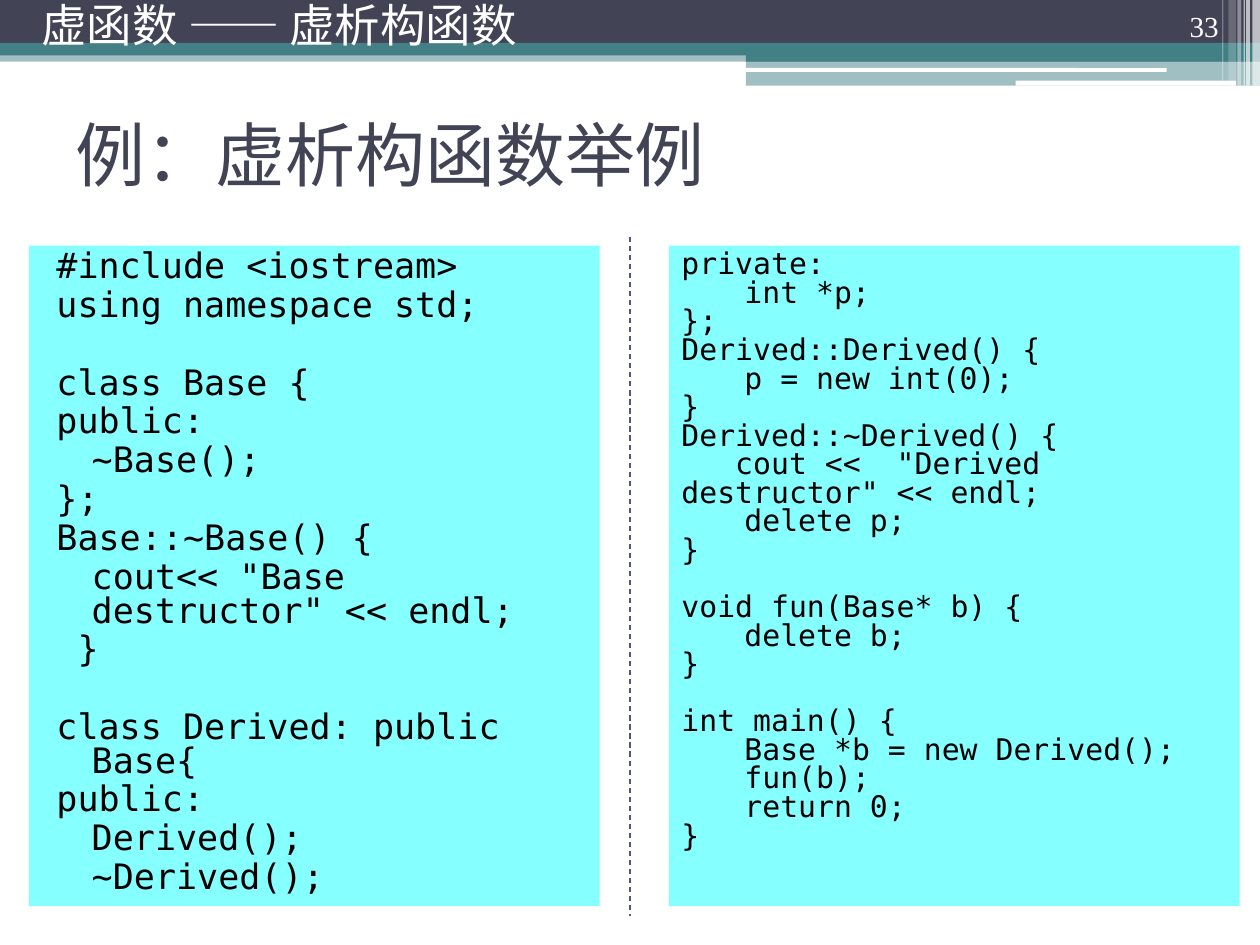
from lxml import etree
from pptx import Presentation
from pptx.dml.color import RGBColor
from pptx.enum import shapes, text
from pptx.oxml.ns import qn
from pptx.util import Inches, Pt

NAVY = RGBColor(0x42, 0x44, 0x56)
TEAL = RGBColor(0x43, 0x80, 0x86)
CYAN = RGBColor(0x85, 0xFF, 0xFF)
VIOLET = RGBColor(0x53, 0x54, 0x8A)
WHITE = RGBColor(0xFF, 0xFF, 0xFF)
BLACK = RGBColor(0, 0, 0)

BASE_CODE = """#include <iostream>
using namespace std;

class Base {
public:
\t~Base();
};
Base::~Base() {
\tcout<< "Base destructor" << endl;
 }

class Derived: public Base{
public:
\tDerived();
\t~Derived();"""

DERIVED_CODE = """private:
\tint *p;
};
Derived::Derived() {
\tp = new int(0);
}
Derived::~Derived() {
   cout <<  "Derived destructor" << endl;
\tdelete p;
}

void fun(Base* b) {
\tdelete b;
}

int main() {
\tBase *b = new Derived();
\tfun(b);
\treturn 0;
}"""

deck = Presentation()
deck.slide_width, deck.slide_height = Inches(10), Inches(7.5)
page = deck.slides.add_slide(deck.slide_layouts[5])


def add_block(left, top, width, height, color, opacity=100, kind=shapes.MSO_SHAPE.RECTANGLE):
    block = page.shapes.add_shape(kind, Inches(left), Inches(top), Inches(width), Inches(height))
    block.shadow.inherit = False
    block.line.fill.background()
    block.fill.solid()
    block.fill.fore_color.rgb = color
    if opacity < 100:
        color_element = block.fill._xPr.find(qn("a:solidFill"))[0]
        etree.SubElement(color_element, qn("a:alpha"), val=str(opacity * 1000))
    return block


def format_para(para, size, font, color, align=text.PP_ALIGN.LEFT, spacing=None):
    para.alignment = align
    if spacing:
        para.line_spacing = spacing
    for span in para.runs:
        span.font.size = Pt(size)
        span.font.name = font
        span.font.color.rgb = color


# Header bands
for band in [
    (0, 0.4, 10, 0.09, TEAL, 50),
    (0, 0, 10, 0.34, NAVY),
    (0, 0.34, 10, 0.1, TEAL),
    (5.92, 0.39, 4.08, 0.1, TEAL),
    (5.92, 0.48, 4.08, 0.2, TEAL, 50),
]:
    add_block(*band)

# White rules under the header
for left, top, width, height in [(5.91, 0.54, 3.35, 0.03), (8.06, 0.64, 1.75, 0.04)]:
    add_block(left, top, width, height, WHITE, kind=shapes.MSO_SHAPE.ROUNDED_RECTANGLE)

# Translucent stripes at the right edge
for left, width, height, opacity in [
    (9.94, 0.06, 0.68, 65),
    (9.89, 0.03, 0.68, 65),
    (9.87, 0.01, 0.68, 60),
    (9.82, 0.03, 0.68, 40),
    (9.75, 0.06, 0.64, 20),
    (9.7, 0.01, 0.64, 30),
]:
    add_block(left, 0, width, height, WHITE, opacity)

# Title
title = page.shapes.title
title.left, title.top, title.width, title.height = Inches(0.5), Inches(0.63), Inches(9), Inches(1.17)
title.text_frame.text = "例：虚析构函数举例"
title.text_frame.vertical_anchor = text.MSO_ANCHOR.MIDDLE
format_para(title.text_frame.paragraphs[0], 40, "Lato", NAVY)

# Page number and section name
for words, left, width, height, anchor, size, font, align, spacing in [
    ("33", 8.94, 0.83, 0.4, text.MSO_ANCHOR.BOTTOM, 16.6, "Times New Roman", text.PP_ALIGN.RIGHT, 0.9),
    ("虚函数 —— 虚析构函数", 0.23, 5.7, 0.47, text.MSO_ANCHOR.MIDDLE, 26, "Lato", text.PP_ALIGN.LEFT, 0.8),
]:
    box = page.shapes.add_textbox(Inches(left), 0, Inches(width), Inches(height))
    box.text_frame.word_wrap = True
    box.text_frame.vertical_anchor = anchor
    box.text_frame.text = words
    format_para(box.text_frame.paragraphs[0], size, font, WHITE, align, spacing)

# Code panels: an empty code line becomes extra space before the next line
for code, left, size, margin, hanging, before, gap in [
    (BASE_CODE, 0.23, 20, 0.4, -0.28, 3, 25),
    (DERIVED_CODE, 5.31, 17, 0, 0, 0, 16.3),
]:
    frame = add_block(left, 1.95, 4.53, 5.24, CYAN).text_frame
    frame.word_wrap = True
    frame.vertical_anchor = text.MSO_ANCHOR.TOP
    para, space = frame.paragraphs[0], 0
    for number, line in enumerate(code.split("\n")):
        if not line:
            space = gap
            continue
        if number:
            para = frame.add_paragraph()
        para.text = line
        properties = para._p.get_or_add_pPr()
        properties.set("marL", str(Inches(margin)))
        properties.set("indent", str(Inches(hanging)))
        tabs = etree.SubElement(properties, qn("a:tabLst"))
        for stop in range(8):
            etree.SubElement(tabs, qn("a:tab"), pos=str(Inches(stop)), algn="l")
        para.space_before = Pt(space)
        format_para(para, size, "DejaVu Sans Mono", BLACK, spacing=0.8)
        space = before

# Dashed divider
divider = page.shapes.add_connector(
    shapes.MSO_CONNECTOR.STRAIGHT, Inches(5), Inches(1.88), Inches(5), Inches(7.27))
divider.line.color.rgb = VIOLET
divider.line.width = Pt(0.75)
divider.line.dash_style = 4  # MSO_LINE.DASH
etree.SubElement(divider._element.spPr, qn("a:effectLst"))

deck.save("out.pptx")
